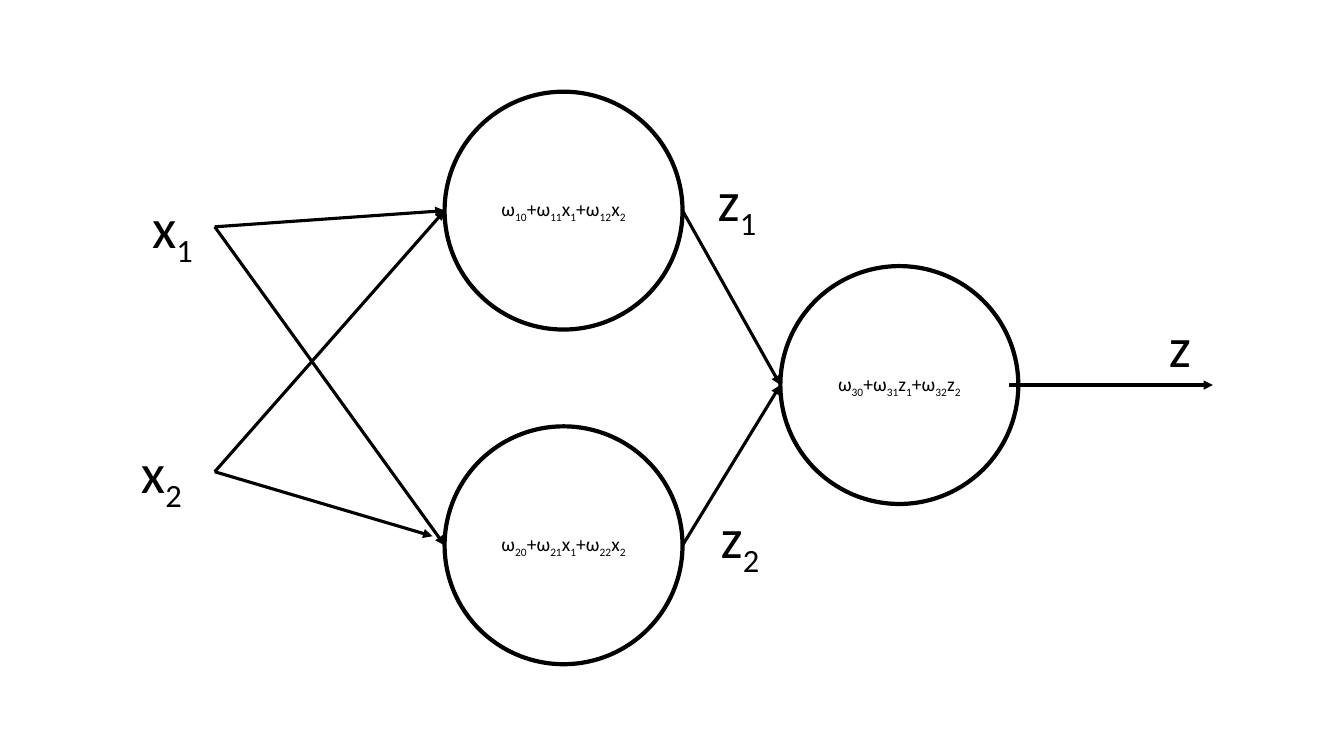
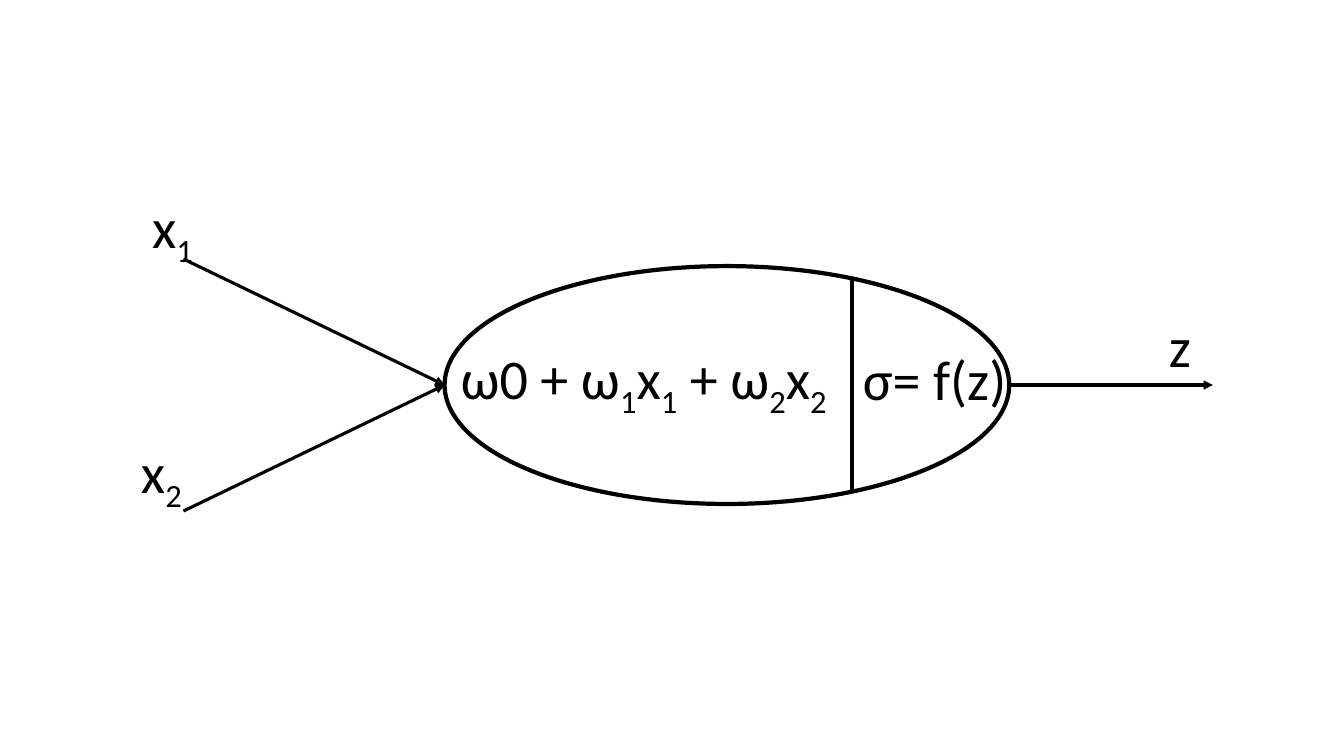
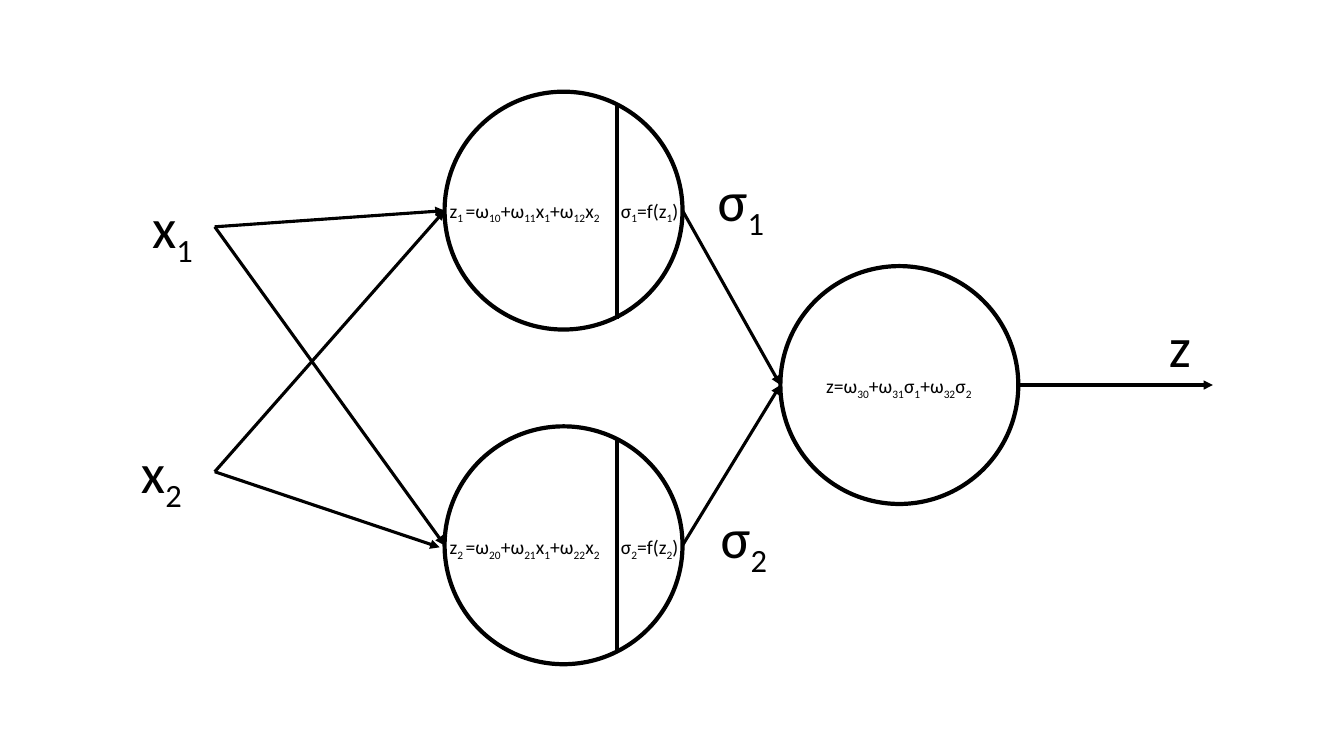
from lxml import etree
from pptx import Presentation
from pptx.dml.color import RGBColor
from pptx.enum.shapes import MSO_CONNECTOR as CONNECTOR, MSO_SHAPE as SHAPE
from pptx.enum.text import MSO_ANCHOR as ANCHOR, MSO_AUTO_SIZE as AUTO_SIZE, PP_ALIGN as ALIGN
from pptx.oxml.ns import qn
from pptx.util import Inches, Pt

BLACK = RGBColor(0x00, 0x00, 0x00)
FONT = "Calibri"
BIG, SMALL = 40, 14
TEXT_HEIGHT = {BIG: 0.77, SMALL: 0.34}

# Neuron geometry shared by the slides, in inches
CIRCLE = 2.36
HIDDEN_LEFT, HIDDEN_RIGHT = 4.41, 6.77
HIDDEN_TOPS = [0.91, 4.23]
HIDDEN_MIDDLES = [2.09, 5.41]
OUTPUT_LEFT, OUTPUT_TOP, OUTPUT_MIDDLE = 7.74, 2.64, 3.82
ARROW_TIP = 12.03
LABEL_RIGHT = 11.91


def write(frame, markup, size, align):
    """Fill a text frame; parts between tildes become subscripts."""
    frame.word_wrap = True
    para = frame.paragraphs[0]
    para.alignment = align
    for index, part in enumerate(markup.split("~")):
        if not part:
            continue
        span = para.add_run()
        span.text = part
        for name, value in {"name": FONT, "size": Pt(size)}.items():
            setattr(span.font, name, value)
        span.font.color.rgb = BLACK
        if index % 2:
            span._r.get_or_add_rPr().set("baseline", "-25000")


def add_line(page, start, end, arrow=True):
    line = page.shapes.add_connector(CONNECTOR.STRAIGHT, *map(Inches, start + end))
    line.line.color.rgb = BLACK
    line.line.width = Pt(2.25)
    if arrow:
        etree.SubElement(line.line._get_or_add_ln(), qn("a:tailEnd"), type="triangle")
    etree.SubElement(line._element.spPr, qn("a:effectLst"))


# Each slide: ellipses (left, top, width, text), arrows and dividers (start, end),
# texts (left, top, width, size, alignment, markup)
neuron = {
    "ellipses": [(HIDDEN_LEFT, OUTPUT_TOP, 5.6, "")],
    "arrows": [((1.82, y), (HIDDEN_LEFT, OUTPUT_MIDDLE)) for y in (2.57, 5.07)]
    + [((10.01, OUTPUT_MIDDLE), (ARROW_TIP, OUTPUT_MIDDLE))],
    "dividers": [((8.45, 2.76), (8.45, 4.87))],
    "texts": [
        (1.41, 1.86, 1.49, BIG, ALIGN.LEFT, "x~1~"),
        (1.3, 4.29, 1.49, BIG, ALIGN.LEFT, "x~2~"),
        (LABEL_RIGHT - 1.49, 3.04, 1.49, BIG, ALIGN.RIGHT, "z"),
        (4.47, 3.36, 3.98, BIG, ALIGN.LEFT, "ω0 + ω~1~x~1~ + ω~2~x~2~"),
        (8.46, 3.37, 1.69, BIG, ALIGN.LEFT, "σ= f(z)"),
    ],
}

networks = []
for symbol, activated, low_tip, output_start in [
    ("z", False, (4.29, 5.32), 10.01),
    ("σ", True, (4.36, 5.43), 10.1),
]:
    sums = [f"ω~{n}0~+ω~{n}1~x~1~+ω~{n}2~x~2~" for n in (1, 2)]
    result = f"ω~30~+ω~31~{symbol}~1~+ω~32~{symbol}~2~"
    upper, lower = [(HIDDEN_LEFT, y) for y in HIDDEN_MIDDLES]
    first_input, second_input = (2.13, 2.25), (2.13, 4.68)
    output = (OUTPUT_LEFT, OUTPUT_MIDDLE)
    network = {
        "ellipses": [
            (left, top, CIRCLE, "" if activated else text)
            for left, top, text in [
                (HIDDEN_LEFT, HIDDEN_TOPS[0], sums[0]),
                (HIDDEN_LEFT, HIDDEN_TOPS[1], sums[1]),
                (OUTPUT_LEFT, OUTPUT_TOP, result),
            ]
        ],
        "arrows": [
            (first_input, upper),
            (second_input, upper),
            (first_input, lower),
            (second_input, low_tip),
            ((output_start, OUTPUT_MIDDLE), (ARROW_TIP, OUTPUT_MIDDLE)),
        ]
        + [((HIDDEN_RIGHT, y), output) for y in HIDDEN_MIDDLES],
        "dividers": [],
        "texts": [
            (1.41, 1.86, 0.72, BIG, ALIGN.LEFT, "x~1~"),
            (1.3, 4.29, 0.82, BIG, ALIGN.LEFT, "x~2~"),
            (LABEL_RIGHT - 0.48, 3.04, 0.48, BIG, ALIGN.RIGHT, "z"),
            (7.02, 1.59, 0.72, BIG, ALIGN.LEFT, f"{symbol}~1~"),
            (7.05, 4.94, 0.72, BIG, ALIGN.LEFT, f"{symbol}~2~"),
        ],
    }
    if activated:
        network["dividers"] = [((6.12, 1.03), (6.12, 3.16)), ((6.12, 4.36), (6.12, 6.45))]
        for n, top in [(1, 1.92), (2, 5.26)]:
            network["texts"] += [
                (4.36, top, 1.81, SMALL, ALIGN.LEFT, f"z~{n} ~={sums[n - 1]}"),
                (6.06, top, 0.8, SMALL, ALIGN.LEFT, f"σ~{n}~=f(z~{n}~)"),
            ]
        network["texts"].append((8.01, 3.66, 1.81, SMALL, ALIGN.CENTER, f"z={result}"))
    networks.append(network)

deck = Presentation()
deck.slide_width, deck.slide_height = Inches(13.33), Inches(7.5)

for content in [networks[0], neuron, networks[1]]:
    page = deck.slides.add_slide(deck.slide_layouts[6])
    for left, top, width, markup in content["ellipses"]:
        ellipse = page.shapes.add_shape(SHAPE.OVAL, *map(Inches, (left, top, width, CIRCLE)))
        ellipse.shadow.inherit = False
        ellipse.fill.background()
        ellipse.line.color.rgb = BLACK
        ellipse.line.width = Pt(3)
        if markup:
            ellipse.text_frame.vertical_anchor = ANCHOR.MIDDLE
            write(ellipse.text_frame, markup, SMALL, ALIGN.CENTER)
    for start, end in content["arrows"]:
        add_line(page, start, end)
    for start, end in content["dividers"]:
        add_line(page, start, end, arrow=False)
    for left, top, width, size, align, markup in content["texts"]:
        box = page.shapes.add_textbox(*map(Inches, (left, top, width, TEXT_HEIGHT[size])))
        box.text_frame.auto_size = AUTO_SIZE.SHAPE_TO_FIT_TEXT
        write(box.text_frame, markup, size, align)

deck.save("out.pptx")
